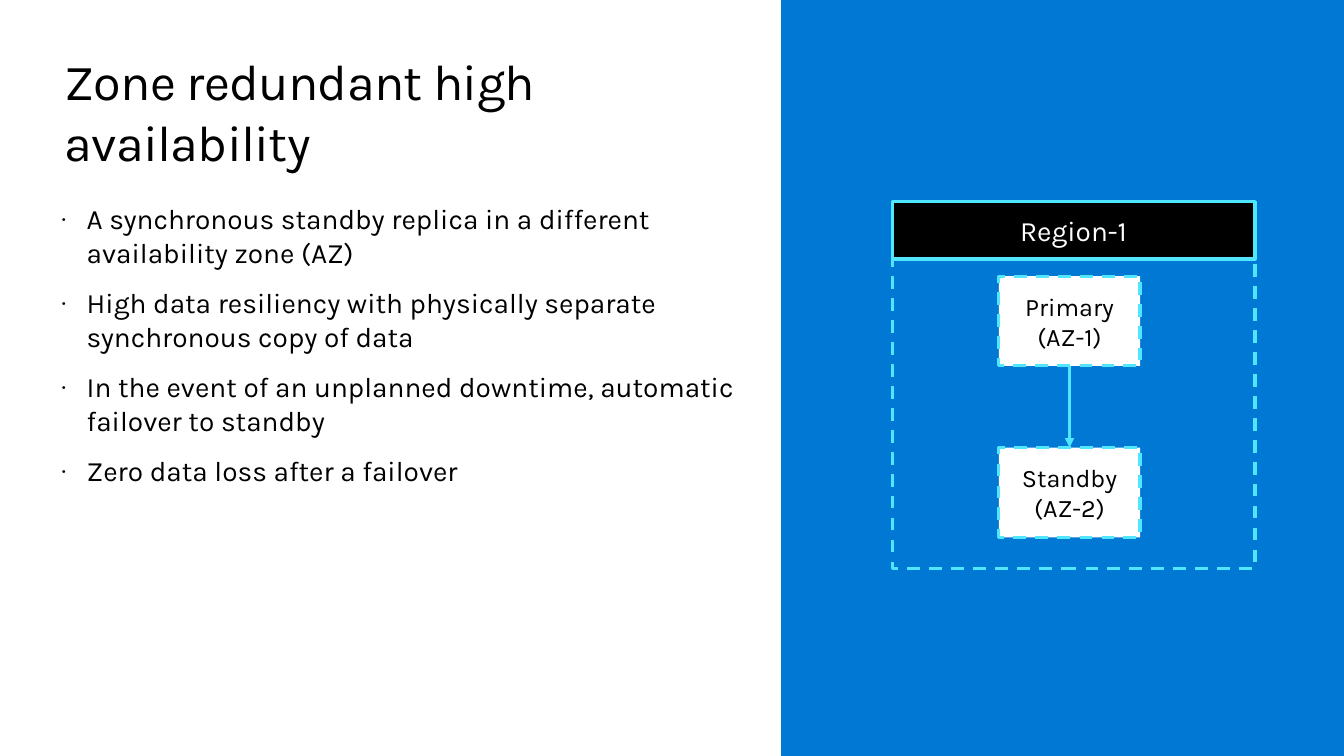
from dataclasses import dataclass

from lxml import etree
from pptx import Presentation
from pptx import util as u
from pptx.dml.color import RGBColor
from pptx.enum import dml, shapes, text
from pptx.oxml import ns

WIDE, HIGH = u.Inches(13.333), u.Inches(7.5)
FONT = "Karla"
HUES = {"blue": "0078D4", "cyan": "50E6FF", "white": "FFFFFF", "black": "000000"}
EDGE = 2.25  # points


@dataclass
class Area:
    """A rectangle in percent of the slide's width and height."""
    left: float
    top: float
    width: float
    height: float

    def place(self) -> tuple:
        return (across(self.left), down(self.top),
                across(self.width), down(self.height))


@dataclass
class Box:
    area: Area
    fill: str = ""
    line: str = ""
    dash: bool = False
    lines: tuple = ()
    size: int = 18
    ink: str = "black"


def across(share: float) -> int:
    return round(WIDE * share / 100)


def down(share: float) -> int:
    return round(HIGH * share / 100)


def hue(name: str) -> RGBColor:
    return RGBColor.from_string(HUES[name])


def write(frame, lines: tuple, size: int, ink: str) -> None:
    frame.word_wrap = True
    for i, line in enumerate(lines):
        para = frame.paragraphs[0] if i == 0 else frame.add_paragraph()
        para.text = line
        para.font.name, para.font.size = FONT, u.Pt(size)
        para.font.color.rgb = hue(ink)


def add_box(slide, box: Box) -> None:
    shape = slide.shapes.add_shape(shapes.MSO_SHAPE.RECTANGLE, *box.area.place())
    shape.shadow.inherit = False
    if box.fill:
        shape.fill.solid()
        shape.fill.fore_color.rgb = hue(box.fill)
    else:
        shape.fill.background()
    if box.line:
        shape.line.color.rgb = hue(box.line)
        shape.line.width = u.Pt(EDGE)
        if box.dash:
            shape.line.dash_style = dml.MSO_LINE.DASH
    else:
        shape.line.fill.background()
    if box.lines:
        write(shape.text_frame, box.lines, box.size, box.ink)
        shape.text_frame.vertical_anchor = text.MSO_ANCHOR.MIDDLE
        for para in shape.text_frame.paragraphs:
            para.alignment = text.PP_ALIGN.CENTER


def add_text(slide, area: Area, lines: tuple, size: int):
    frame = slide.shapes.add_textbox(*area.place()).text_frame
    frame.margin_left = frame.margin_right = 0
    frame.margin_top = frame.margin_bottom = 0
    write(frame, lines, size, "black")
    return frame


def add_bullet(para) -> None:
    para.space_before = para.space_after = u.Pt(6)
    props = para._p.get_or_add_pPr()
    props.set("marL", str(u.Inches(0.25)))
    props.set("indent", str(-u.Inches(0.25)))
    marks = [("a:buSzPct", "val", "90000"), ("a:buFont", "typeface", FONT),
             ("a:buChar", "char", "·")]
    spot = props.index(props.find(ns.qn("a:defRPr")))
    for i, (tag, key, value) in enumerate(marks):
        mark = etree.Element(ns.qn(tag))
        mark.set(key, value)
        props.insert(spot + i, mark)


def add_arrow(slide, x: float, start: float, end: float) -> None:
    arrow = slide.shapes.add_connector(
        shapes.MSO_CONNECTOR.STRAIGHT, across(x), down(start), across(x), down(end))
    arrow.line.color.rgb = hue("cyan")
    arrow.line.width = u.Pt(EDGE)
    etree.SubElement(arrow.line._get_or_add_ln(), ns.qn("a:tailEnd")).set("type", "triangle")
    etree.SubElement(arrow._element.spPr, ns.qn("a:effectLst"))


def main() -> None:
    deck = Presentation()
    deck.slide_width, deck.slide_height = WIDE, HIGH
    slide = deck.slides.add_slide(deck.slide_layouts[6])

    # Blue side panel
    add_box(slide, Box(Area(58.13, 0, 41.87, 100), "blue"))

    # Title and bullets
    title = add_text(slide, Area(4.8, 6.67, 38.1, 16.13),
                     ("Zone redundant high availability",), 36)
    title.paragraphs[0].runs[0].font._element.set("spc", "-50")
    points = (
        "A synchronous standby replica in a different availability zone (AZ)",
        "High data resiliency with physically separate synchronous copy of data",
        "In the event of an unplanned downtime, automatic failover to standby",
        "Zero data loss after a failover",
    )
    for para in add_text(slide, Area(4.58, 26.67, 50.63, 50.13), points, 20).paragraphs:
        add_bullet(para)

    # Zones, one below the other
    left, top, width, height, step = 74.33, 36.53, 10.5, 11.87, 22.67
    zones = (("Primary", "(AZ-1)"), ("Standby", "(AZ-2)"))
    for i, zone in enumerate(zones):
        add_box(slide, Box(Area(left, top + i * step, width, height),
                           "white", "cyan", True, zone))

    # Region frame and its header
    add_box(slide, Box(Area(66.38, 30.13, 27, 45.07), line="cyan", dash=True))
    add_box(slide, Box(Area(66.38, 26.67, 27, 7.6), "black", "cyan",
                       lines=("Region-1",), size=20, ink="white"))

    # Replication from primary to standby
    add_arrow(slide, left + width / 2, top + height, top + step)

    deck.save("out.pptx")


if __name__ == "__main__":
    main()
